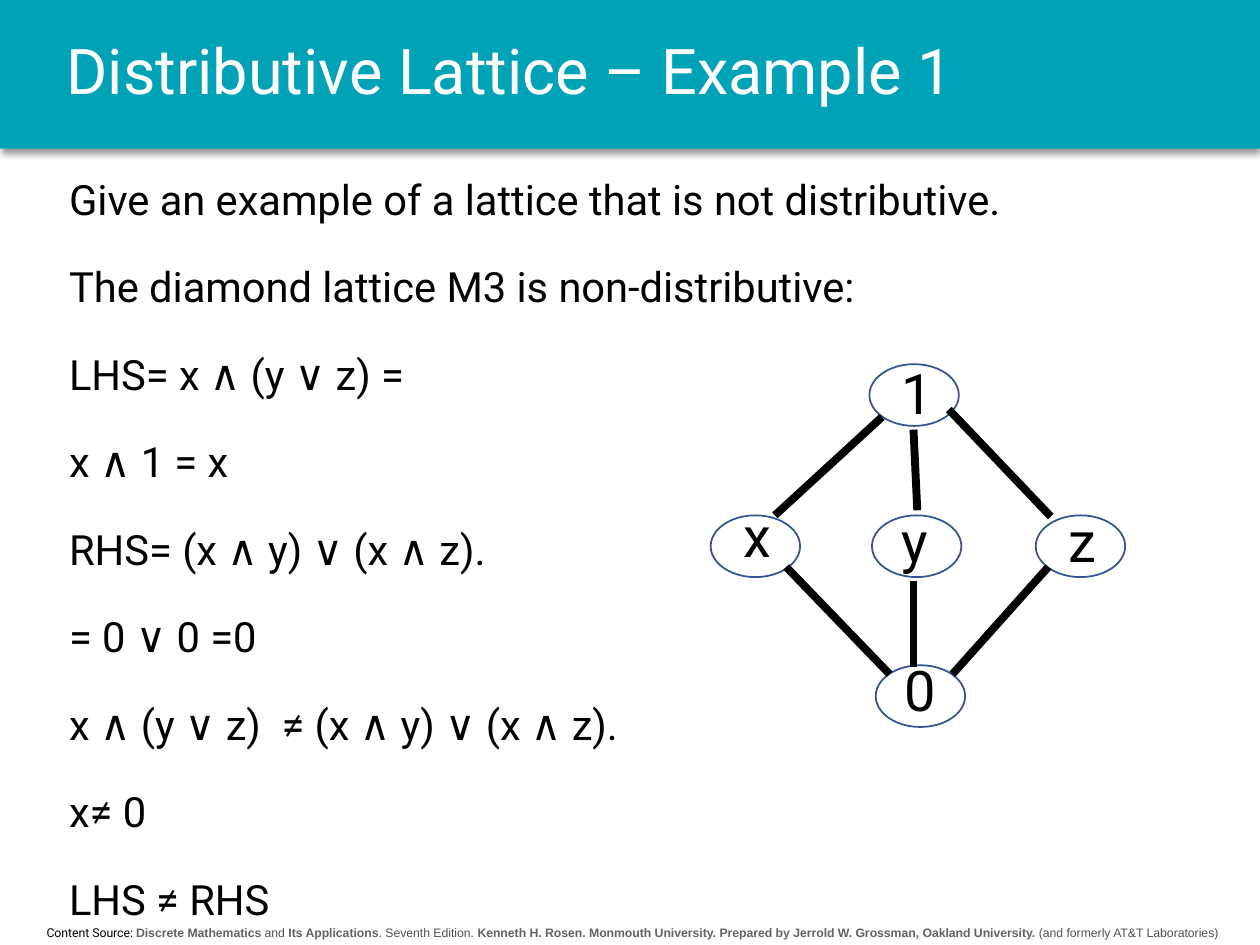
import pptx
import pptx.util
import pptx.oxml
import pptx.oxml.ns
import pptx.dml.color
import pptx.enum.shapes
import pptx.enum.text
from lxml import etree
from pptx.util import Inches

TEAL = pptx.dml.color.RGBColor(0x00, 0xA2, 0xB8)
WHITE = pptx.dml.color.RGBColor(0xFF, 0xFF, 0xFF)
BLACK = pptx.dml.color.RGBColor(0x00, 0x00, 0x00)
BLUE = pptx.dml.color.RGBColor(0x32, 0x54, 0x91)
DARK_GRAY = pptx.dml.color.RGBColor(0x4D, 0x51, 0x56)
GRAY = pptx.dml.color.RGBColor(0x5F, 0x63, 0x68)


def add_text(shapes, left, top, width, height, lines, size, color):
    shape = shapes.add_textbox(Inches(left), Inches(top), Inches(width), Inches(height))
    shape.text_frame.word_wrap = True
    shape.text_frame.text = "\n".join(lines)
    for paragraph in shape.text_frame.paragraphs:
        for run in paragraph.runs:
            style_run(run, size, color)
    return shape.text_frame


def style_run(run, size, color, font="Roboto", bold=False):
    run.font.name = font
    run.font.size = pptx.util.Pt(size)
    run.font.bold = bold
    run.font.color.rgb = color


presentation = pptx.Presentation()
presentation.slide_width = Inches(10)
presentation.slide_height = Inches(7.5)
slide = presentation.slides.add_slide(presentation.slide_layouts[6])

banner = slide.shapes.add_shape(
    pptx.enum.shapes.MSO_SHAPE.RECTANGLE, 0, 0, Inches(10), Inches(1.18))
banner.fill.solid()
banner.fill.fore_color.rgb = TEAL
banner.line.fill.background()
banner.shadow.inherit = False
effects = banner.element.spPr.find(pptx.oxml.ns.qn("a:effectLst"))
effects.append(pptx.oxml.parse_xml(
    f'<a:outerShdw {pptx.oxml.ns.nsdecls("a")} blurRad="50800" dist="38100" '
    'dir="5400000" algn="t" rotWithShape="0"><a:srgbClr val="000000">'
    '<a:alpha val="40000"/></a:srgbClr></a:outerShdw>'))

footer = add_text(slide.shapes, 0.04, 7.29, 9.96, 0.22, ["Content Source: "], 7, BLACK)
footer_paragraph = footer.paragraphs[0]
footer_paragraph.alignment = pptx.enum.text.PP_ALIGN.CENTER
for text, bold in [
    ("Discrete Mathematics", True),
    (" and ", False),
    ("Its Applications", True),
    (". Seventh Edition. ", False),
    ("Kenneth H. Rosen. Monmouth University. Prepared by Jerrold W. Grossman, "
     "Oakland University.", True),
    (" (and formerly AT&T Laboratories)", False),
]:
    run = footer_paragraph.add_run()
    run.text = text
    style_run(run, 7, GRAY if bold else DARK_GRAY, "Arial", bold)

title = add_text(slide.shapes, 0.43, 0, 9.3, 1.18,
                 ["Distributive Lattice – Example 1"], 36, WHITE)
title.vertical_anchor = pptx.enum.text.MSO_ANCHOR.MIDDLE
title.paragraphs[0].line_spacing = 0.9

body = add_text(slide.shapes, 0.45, 1.17, 8.59, 6.25, [
    "Give an example of a lattice that is not distributive.",
    "The diamond lattice M3 is non-distributive:",
    "LHS= x ∧ (y ∨ z) =",
    "x ∧ 1 = x",
    "RHS= (x ∧ y) ∨ (x ∧ z).",
    "= 0 ∨ 0 =0",
    "x ∧ (y ∨ z)  ≠ (x ∧ y) ∨ (x ∧ z).",
    "x≠ 0",
    "LHS ≠ RHS",
], 23.8, BLACK)
for index, paragraph in enumerate(body.paragraphs):
    paragraph.alignment = pptx.enum.text.PP_ALIGN.JUSTIFY
    paragraph.line_spacing = 1.4
    paragraph.space_before = pptx.util.Pt(10 if index else 0)

lattice = slide.shapes.add_group_shape()
nodes = [
    ("x", 5.64, 4.09, 5.8, 3.93),
    ("y", 6.92, 4.09, 7.06, 3.97),
    ("z", 8.22, 4.09, 8.38, 3.97),
    ("1", 6.9, 2.89, 7.06, 2.8),
    ("0", 6.95, 5.28, 7.08, 5.15),
]
for label, left, top, label_left, label_top in nodes:
    node = lattice.shapes.add_shape(
        pptx.enum.shapes.MSO_SHAPE.OVAL,
        Inches(left), Inches(top), Inches(0.71), Inches(0.49))
    node.fill.solid()
    node.fill.fore_color.rgb = WHITE
    node.line.color.rgb = BLUE
    node.line.width = pptx.util.Pt(1)
    node.shadow.inherit = False

for label, left, top, label_left, label_top in nodes:
    add_text(lattice.shapes, label_left, label_top, 0.39, 0.64, [label], 32, BLACK)

for start_x, start_y, end_x, end_y in [
    (7.06, 5.35, 6.24, 4.5),
    (7.28, 4.05, 7.25, 3.41),
    (7.25, 5.29, 7.25, 4.61),
    (7.56, 5.35, 8.32, 4.5),
    (8.34, 4.1, 7.53, 3.25),
    (6.15, 4.09, 7, 3.31),
]:
    edge = lattice.shapes.add_connector(
        pptx.enum.shapes.MSO_CONNECTOR.STRAIGHT,
        Inches(start_x), Inches(start_y), Inches(end_x), Inches(end_y))
    edge.line.color.rgb = BLACK
    edge.line.width = pptx.util.Pt(4.5)
    etree.SubElement(edge.element.spPr, pptx.oxml.ns.qn("a:effectLst"))

presentation.save("out.pptx")
